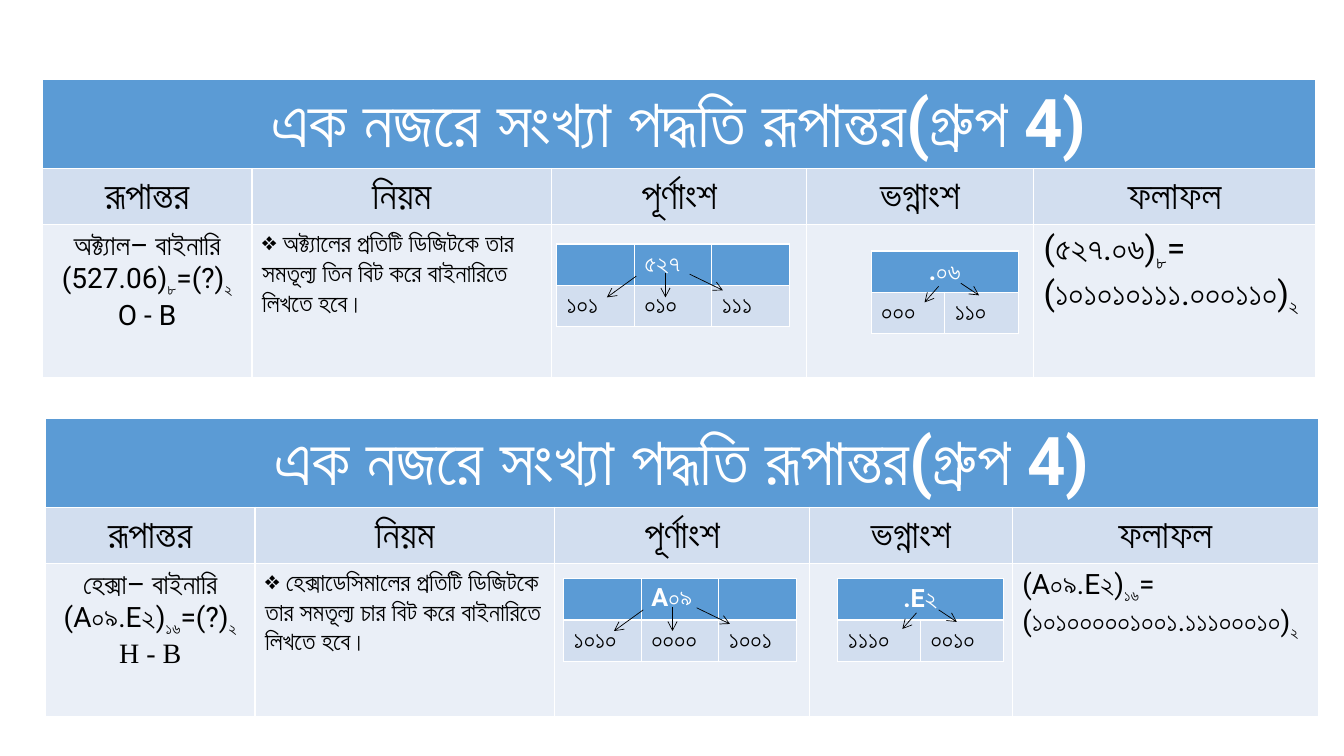
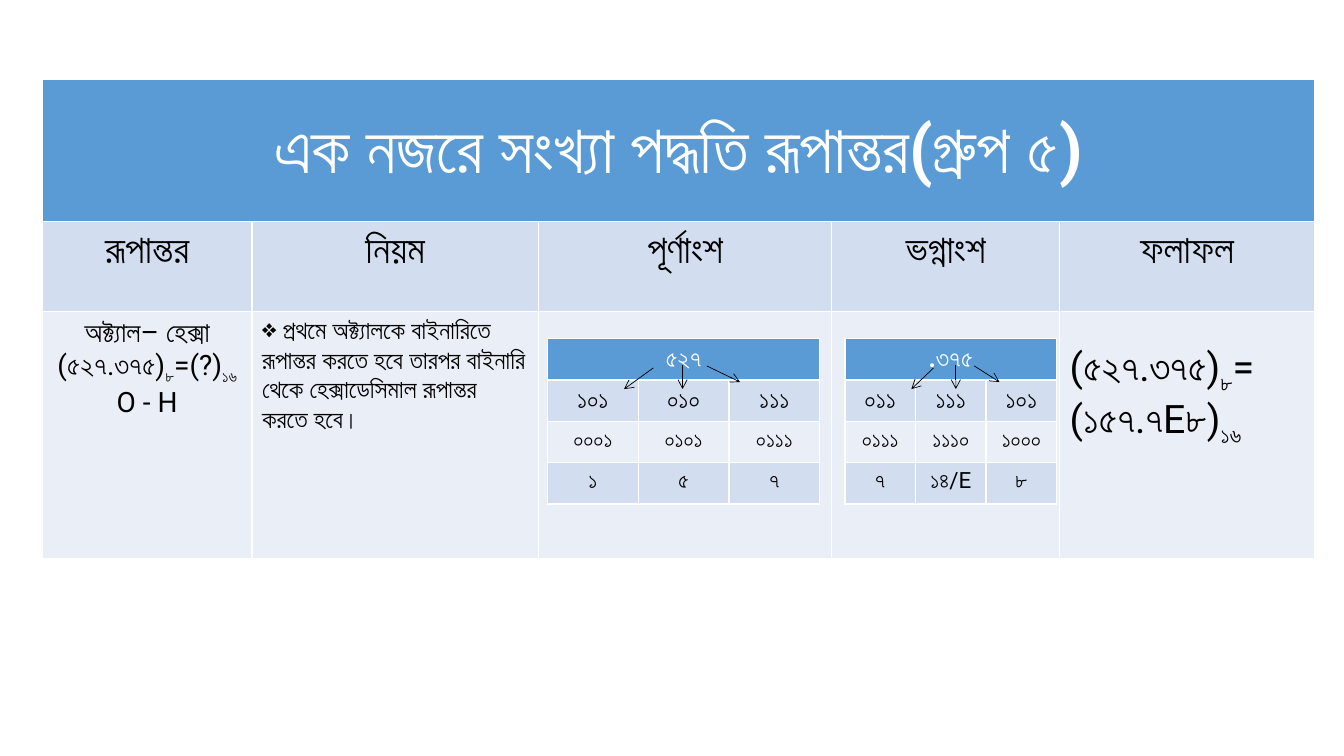
from lxml import etree
from pptx import Presentation
from pptx import util as u
from pptx.dml.color import RGBColor
from pptx.enum import shapes, text
from pptx.oxml.ns import qn

BLUE, PALE, MIST = "5B9BD5", "D2DEEF", "EAEFF7"
BLACK, WHITE = "000000", "FFFFFF"
FACE = "Roboto"
LEFT, MID = text.PP_ALIGN.LEFT, text.PP_ALIGN.CENTER
HEADS = ["রূপান্তর", "নিয়ম", "পূর্ণাংশ", "ভগ্নাংশ", "ফলাফল"]
TITLE = "এক নজরে সংখ্যা পদ্ধতি রূপান্তর(গ্রুপ {})"
TRIO = [(-0.29, 0.03, -0.58, 0.24), (0, 0, 0, 0.24), (0.24, 0.01, 0.57, 0.17)]
PAIR = [(0, 0.03, -0.14, 0.19), (0.22, 0, 0.4, 0.12)]


def hue(code):
    return RGBColor.from_string(code)


class Deck:
    """Holds the shared style and the current slide."""

    def __init__(self):
        self.show = Presentation()
        self.show.slide_width = u.Inches(13.33)
        self.show.slide_height = u.Inches(7.5)
        self.page = None

    def add(self):
        self.page = self.show.slides.add_slide(self.show.slide_layouts[6])

    def fill(self, cell, code):
        cell.fill.solid()
        cell.fill.fore_color.rgb = hue(code)

    def label(self, cell, lines, size, code=BLACK, bold=False, align=LEFT,
              bullet=None, faces=()):
        frame = cell.text_frame
        for n, line in enumerate(lines):
            para = frame.add_paragraph() if n else frame.paragraphs[0]
            para.alignment = align
            if bullet:
                props = para._p.get_or_add_pPr()
                props.set("marL", "0")
                props.set("indent", "0")
                etree.SubElement(props, qn("a:buChar")).set("char", bullet)
            face = faces[n] if n < len(faces) else FACE
            look = {"size": u.Pt(size), "bold": bold, "name": face}
            for k, part in enumerate(line.split("|")):
                run = para.add_run()
                run.text = part
                for key, value in look.items():
                    setattr(run.font, key, value)
                run.font.color.rgb = hue(code)
                props = run._r.get_or_add_rPr()
                etree.SubElement(props, qn("a:cs")).set("typeface", face)
                if k % 2:
                    props.set("baseline", "-25000")

    def grid(self, left, top, cols, rows):
        size = [u.Inches(v) for v in (left, top, sum(cols), sum(rows))]
        table = self.page.shapes.add_table(len(rows), len(cols), *size).table
        for col, wide in zip(table.columns, cols):
            col.width = u.Inches(wide)
        for row, high in zip(table.rows, rows):
            row.height = u.Inches(high)
        for r in range(len(rows)):
            code = BLUE if r == 0 else PALE if r % 2 else MIST
            for c in range(len(cols)):
                self.fill(table.cell(r, c), code)
        return table

    def head(self, table, words, size):
        cell = table.cell(0, 0)
        cell.merge(table.cell(0, len(table.columns) - 1))
        cell.vertical_anchor = text.MSO_ANCHOR.MIDDLE
        self.label(cell, [words], size, WHITE, True, MID)

    def chart(self, left, top, cols, rows, group, task, rule, result,
              size, drop=0.05, faces=()):
        table = self.grid(left, top, cols, rows)
        self.head(table, TITLE.format(group), 48)
        for c, words in enumerate(HEADS):
            self.label(table.cell(1, c), [words], 28, align=MID)
        self.label(table.cell(2, 0), task, 20, align=MID, faces=faces)
        self.label(table.cell(2, 1), [" " + rule], 18, bullet="❖")
        table.cell(2, 4).margin_top = u.Inches(drop)
        self.label(table.cell(2, 4), result, size)

    def digits(self, left, top, wide, words, rows, span=True, align=LEFT):
        count = len(rows[0])
        table = self.grid(left, top, [wide] * count, [0.41] * (len(rows) + 1))
        if span:
            self.head(table, words, 18)
            if align == MID:
                table.cell(0, 0).vertical_anchor = text.MSO_ANCHOR.TOP
        else:
            self.label(table.cell(0, 1), [words], 18, WHITE, True)
        for r, row in enumerate(rows, 1):
            for c, bits in enumerate(row):
                size = 18 if r == 1 else 16
                self.label(table.cell(r, c), [bits], size, align=align)

    def fan(self, left, top, rays, scale=1):
        for x1, y1, x2, y2 in rays:
            ends = (left + x1 * scale, top + y1, left + x2 * scale, top + y2)
            line = self.page.shapes.add_connector(
                shapes.MSO_CONNECTOR.STRAIGHT, *[u.Inches(v) for v in ends])
            line.line.color.rgb = hue(BLACK)
            line.line.width = u.Pt(0.5)
            props = line._element.spPr
            edge = props.find(qn("a:ln"))
            etree.SubElement(edge, qn("a:tailEnd")).set("type", "arrow")
            etree.SubElement(props, qn("a:effectLst"))


def main():
    deck = Deck()
    rows = [0.86, 0.53, 1.52]
    deck.add()
    deck.chart(0.42, 0.79, [2.08, 2.97, 2.53, 2.25, 2.8], rows, "4",
               ["অক্ট্যাল– বাইনারি (527.06)|৮|=(?)|২", "O - B"],
               "অক্ট্যালের প্রতিটি ডিজিটকে তার সমতূল্য তিন বিট করে বাইনারিতে লিখতে হবে।",
               ["(৫২৭.০৬)|৮|=", "(১০১০১০১১১.০০০১১০)|২"], 24)
    deck.digits(5.52, 2.42, 0.77, "৫২৭", [["১০১", "০১০", "১১১"]], False)
    deck.fan(6.6, 2.71, TRIO)
    deck.digits(8.64, 2.49, 0.73, ".০৬", [["০০০", "১১০"]])
    deck.fan(9.31, 2.81, PAIR)

    deck.chart(0.45, 4.15, [2.08, 2.97, 2.53, 2.01, 3.04], rows, "4",
               ["হেক্সা– বাইনারি (A০৯.E২)|১৬|=(?)|২", "H - B"],
               "হেক্সাডেসিমালের প্রতিটি ডিজিটকে তার সমতূল্য চার বিট করে বাইনারিতে লিখতে হবে।",
               ["(A০৯.E২)|১৬|=", "(১০১০০০০০১০০১.১১১০০০১০)|২"], 20,
               faces=(FACE, "Times New Roman"))
    deck.digits(5.59, 5.74, 0.77, "A০৯", [["১০১০", "০০০০", "১০০১"]], False)
    deck.fan(6.67, 6.02, TRIO)
    deck.digits(8.31, 5.74, 0.82, ".E২", [["১১১০", "০০১০"]])
    deck.fan(9.09, 6.05, PAIR)

    deck.add()
    deck.chart(0.42, 0.79, [2.08, 2.84, 2.91, 2.26, 2.53], [1.41, 0.89, 2.45],
               "৫", ["অক্ট্যাল– হেক্সা (৫২৭.৩৭৫)|৮|=(?)|১৬", "O - H"],
               "প্রথমে অক্ট্যালকে বাইনারিতে রূপান্তর করতে হবে তারপর বাইনারি থেকে হেক্সাডেসিমাল রূপান্তর করতে হবে।",
               ["(৫২৭.৩৭৫)|৮|=", "(১৫৭.৭E৮)|১৬"], 28, 0.34)
    deck.digits(5.43, 3.36, 0.9, "৫২৭",
                [["১০১", "০১০", "১১১"], ["০০০১", "০১০১", "০১১১"],
                 ["১", "৫", "৭"]], align=MID)
    deck.fan(6.77, 3.62, TRIO)
    deck.digits(8.38, 3.36, 0.7, ".৩৭৫",
                [["০১১", "১১১", "১০১"], ["০১১১", "১১১০", "১০০০"],
                 ["৭", "১৪/E", "৮"]], align=MID)
    deck.fan(9.48, 3.62, TRIO, 0.76)
    deck.show.save("out.pptx")


if __name__ == "__main__":
    main()
